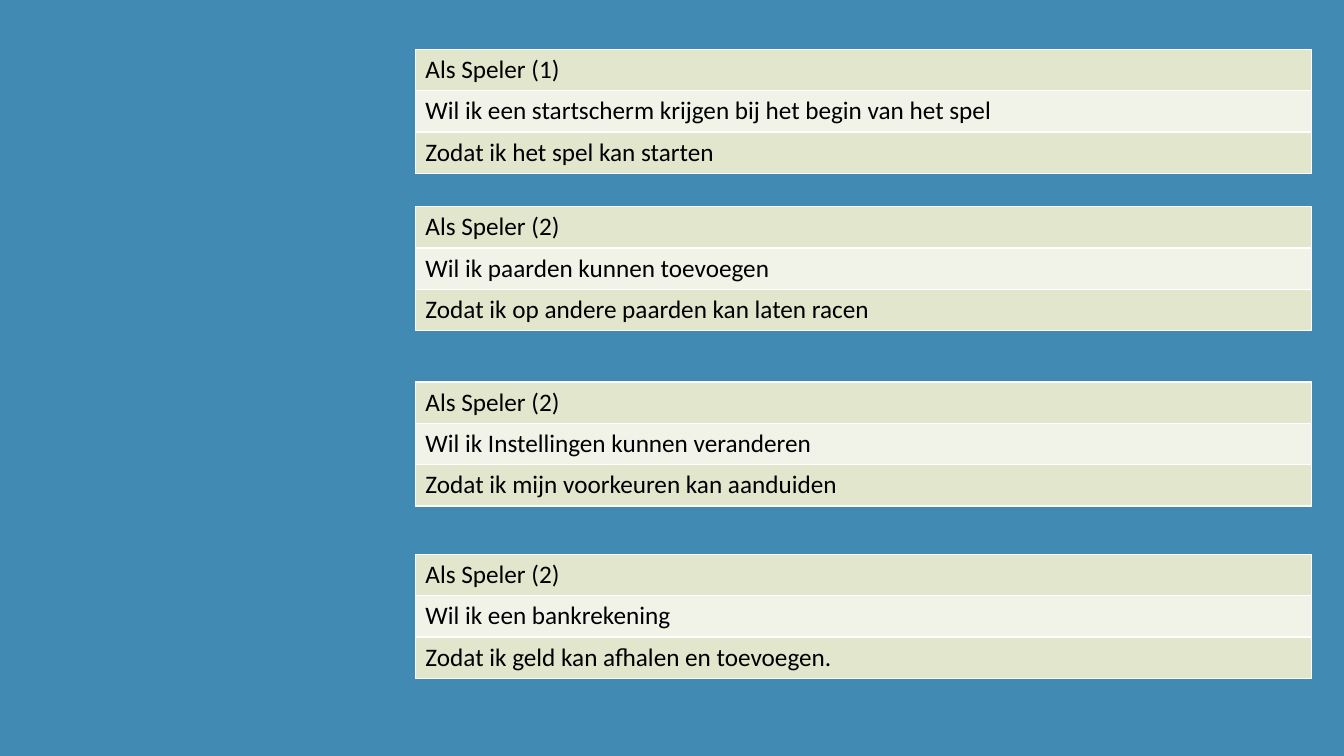
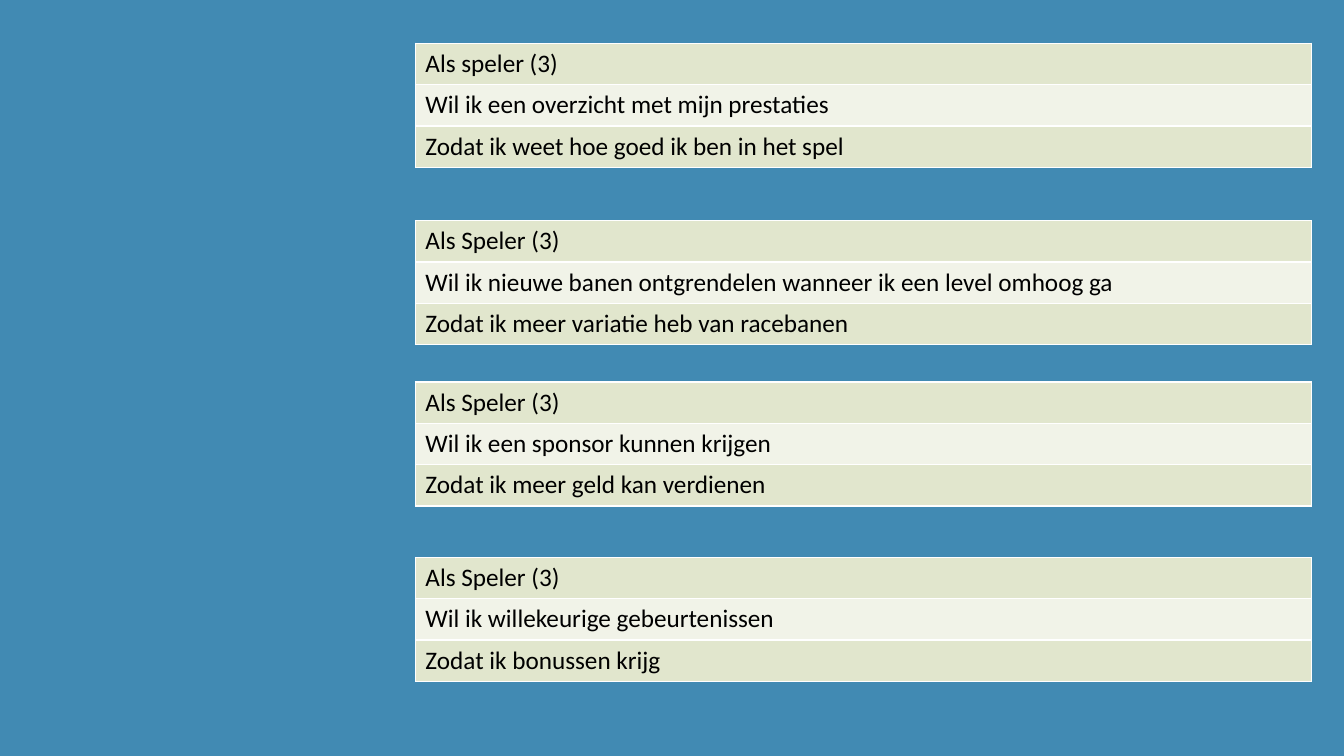
from lxml.etree import SubElement
from pptx import Presentation
from pptx.dml.color import RGBColor as RGB
from pptx.oxml.ns import qn
from pptx.util import Inches, Pt

COLORS = {"background": "418AB3", "band": "E1E6CD", "light": "F1F3E8",
          "border": "FFFFFF", "text": "000000"}
FONT = "Calibri"
LEFT, WIDTH, ROW_HEIGHT = 4.12, 8.89, 0.41

# User stories per slide: top, then role, wish and reason
SLIDES = [
    [
        (0.49, "Als Speler (1)",
         "Wil ik een startscherm krijgen bij het begin van het spel",
         "Zodat ik het spel kan starten"),
        (2.05, "Als Speler (2)",
         "Wil ik paarden kunnen toevoegen",
         "Zodat ik op andere paarden kan laten racen"),
        (3.79, "Als Speler (2)",
         "Wil ik Instellingen kunnen veranderen",
         "Zodat ik mijn voorkeuren kan aanduiden"),
        (5.5, "Als Speler (2)",
         "Wil ik een bankrekening",
         "Zodat ik geld kan afhalen en toevoegen."),
    ],
    [
        (0.43, "Als speler (3)",
         "Wil ik een overzicht met mijn prestaties",
         "Zodat ik weet hoe goed ik ben in het spel"),
        (2.19, "Als Speler (3)",
         "Wil ik nieuwe banen ontgrendelen wanneer ik een level omhoog ga",
         "Zodat ik meer variatie heb van racebanen"),
        (3.79, "Als Speler (3)",
         "Wil ik een sponsor kunnen krijgen",
         "Zodat ik meer geld kan verdienen"),
        (5.53, "Als Speler (3)",
         "Wil ik willekeurige gebeurtenissen",
         "Zodat ik bonussen krijg"),
    ],
]


def add_borders(cell):
    tc_pr = cell._tc.get_or_add_tcPr()
    for side in ("lnL", "lnR", "lnT", "lnB"):
        ln = SubElement(tc_pr, qn(f"a:{side}"), w=str(Pt(1)))
        fill = SubElement(ln, qn("a:solidFill"))
        SubElement(fill, qn("a:srgbClr"), val=COLORS["border"])


def add_story(slide, top, lines):
    frame = slide.shapes.add_table(
        len(lines), 1, Inches(LEFT), Inches(top),
        Inches(WIDTH), Inches(ROW_HEIGHT * len(lines)))
    table = frame.table
    table.first_row = table.horz_banding = False
    for i, line in enumerate(lines):
        table.rows[i].height = Inches(ROW_HEIGHT)
        cell = table.cell(i, 0)
        add_borders(cell)
        cell.fill.solid()
        cell.fill.fore_color.rgb = RGB.from_string(
            COLORS["light" if i % 2 else "band"])
        p = cell.text_frame.paragraphs[0]
        p.text = line
        p.font.name = FONT
        p.font.size = Pt(18)
        p.font.color.rgb = RGB.from_string(COLORS["text"])


# Presentation with a shared background
prs = Presentation()
prs.slide_width, prs.slide_height = Inches(13.33), Inches(7.5)
background = prs.slide_master.background.fill
background.solid()
background.fore_color.rgb = RGB.from_string(COLORS["background"])

# Story slides on the blank layout
for stories in SLIDES:
    slide = prs.slides.add_slide(prs.slide_layouts[6])
    for top, *lines in stories:
        add_story(slide, top, lines)

prs.save("out.pptx")
